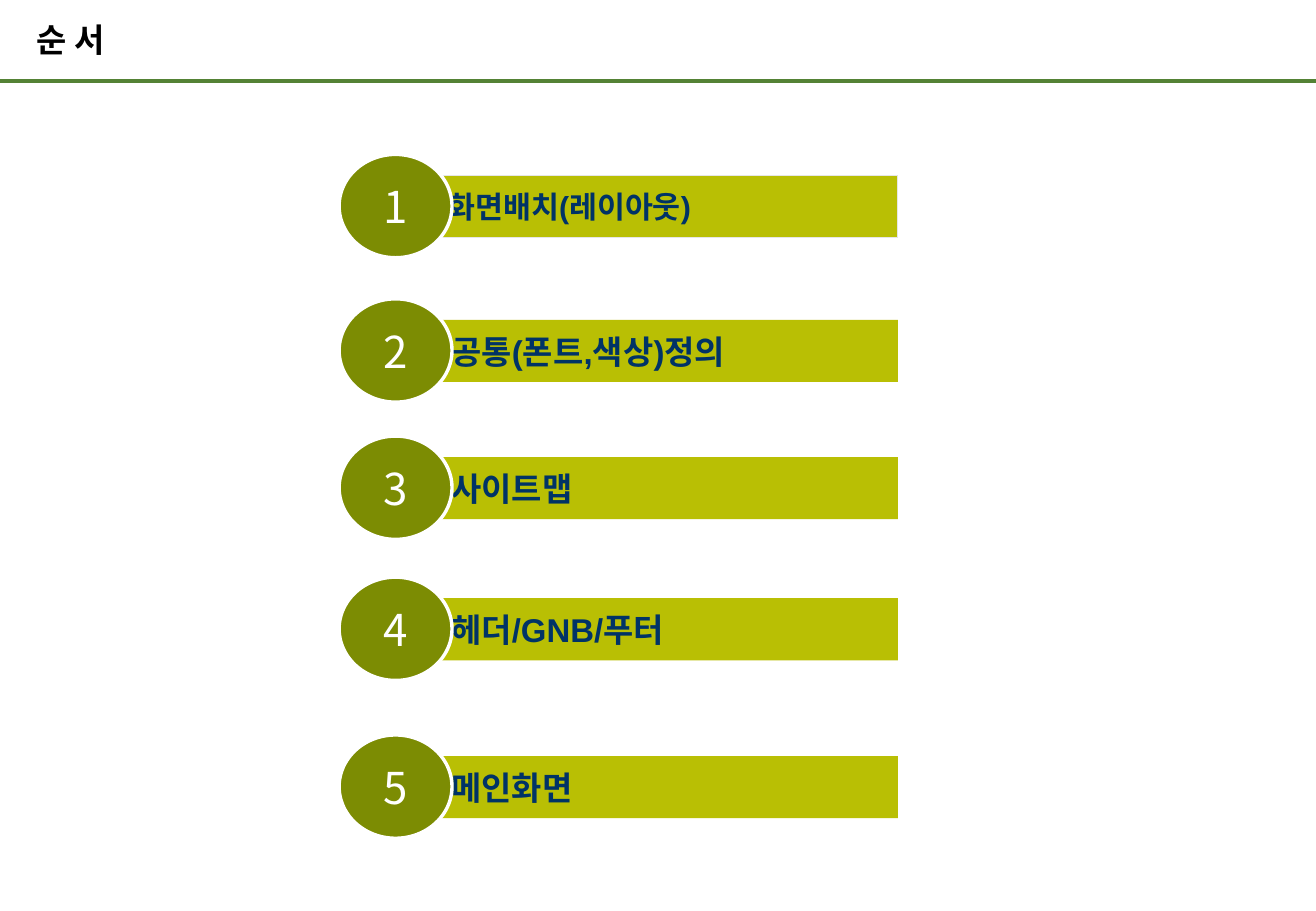
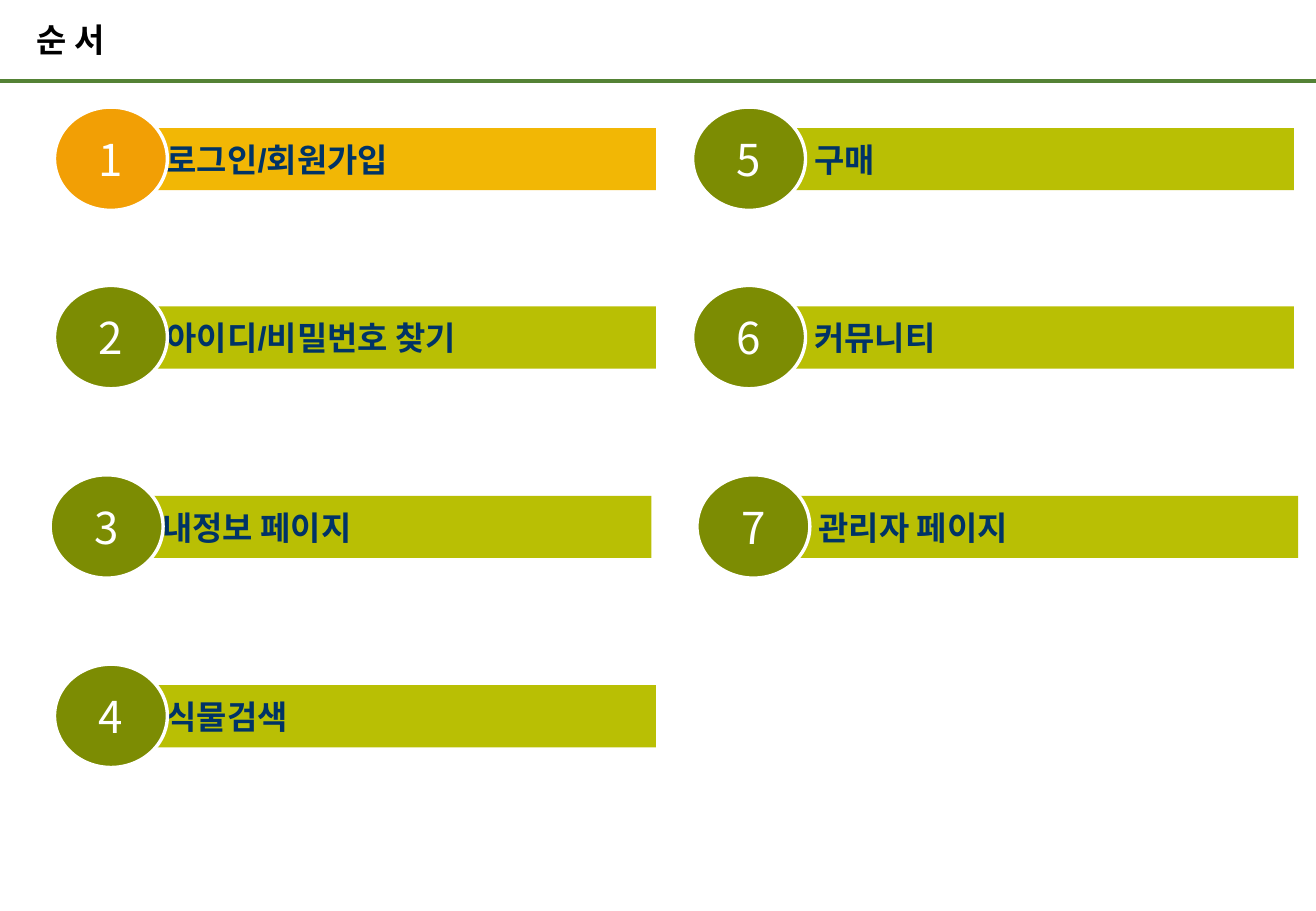
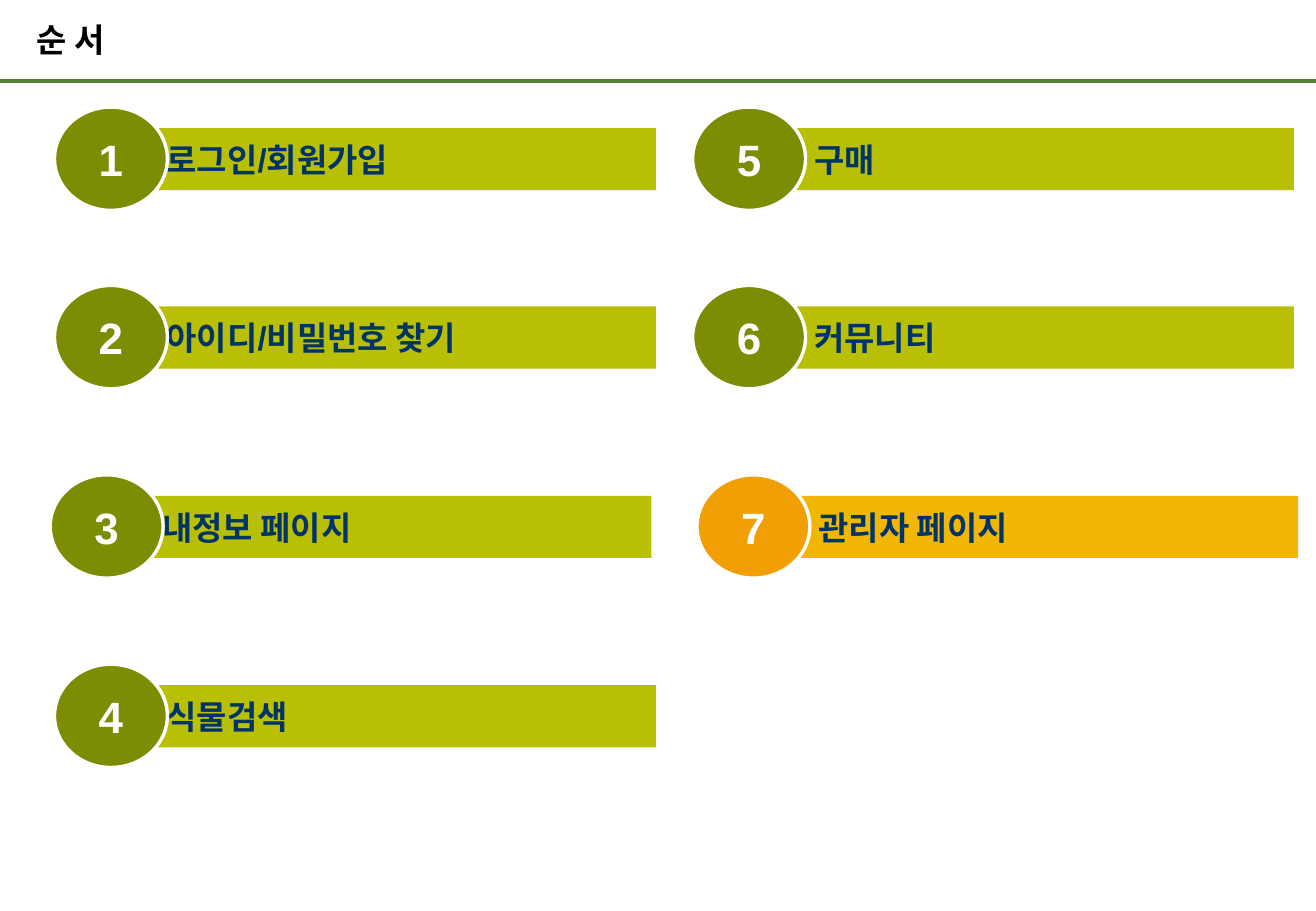
import pptx
import pptx.dml.color
import pptx.enum.shapes
import pptx.enum.text
import pptx.oxml.ns
import pptx.util
from lxml import etree

Cm = pptx.util.Cm
Pt = pptx.util.Pt
SHAPE = pptx.enum.shapes.MSO_SHAPE
ALIGN = pptx.enum.text.PP_ALIGN
qn = pptx.oxml.ns.qn

COLORS = {
    "rule": "548235",
    "title": "000000",
    "label": "003366",
    "white": "FFFFFF",
    "bar": "B9BF04",
    "badge": "7C8C03",
    "active_bar": "F2B705",
    "active_badge": "F29F05",
    "edge": "E6E6E6",
}
LATIN_FONT = "Arial"
KOREAN_FONT = "Noto Sans CJK KR"
PAGE_WIDTH, PAGE_HEIGHT = 27.51, 19.05
TITLE = "순 서"

# Item geometry in cm
BADGE_WIDTH, BADGE_HEIGHT = 2.36, 2.16
BAR_OFFSET_X, BAR_OFFSET_Y, BAR_HEIGHT = 0.94, 0.44, 1.3

OPENING_ITEMS = [
    ("화면배치(레이아웃)", 3.23),
    ("공통(폰트,색상)정의", 6.25),
    ("사이트맵", 9.12),
    ("헤더/GNB/푸터", 12.07),
    ("메인화면", 15.37),
]
MENU_ITEMS = ["로그인/회원가입", "아이디/비밀번호 찾기", "내정보 페이지", "식물검색",
              "구매", "커뮤니티", "관리자 페이지"]
MENU_ROWS = [2.24, 5.97, 9.93, 13.89]
MENU_COLUMNS = [1.14, 14.48]
MENU_INDENTS = [1.4, 1.6]
MENU_WIDTH = 12.57
THIRD_ROW_SHIFT = 0.09


def rgb(name):
    return pptx.dml.color.RGBColor.from_string(COLORS[name])


def style_paragraph(para, size, color, bold=True, latin=LATIN_FONT, align=ALIGN.LEFT):
    para.alignment = align
    font = para.font
    font.size = Pt(size)
    font.bold = bold
    font.name = latin
    font.color.rgb = rgb(color)
    latin_element = para._p.pPr.find(qn("a:defRPr")).find(qn("a:latin"))
    east_asian = etree.Element(qn("a:ea"), typeface=KOREAN_FONT)
    latin_element.addnext(east_asian)


def set_line(line, color, width):
    line.color.rgb = rgb(color)
    line.width = Pt(width)


def add_filled_shape(page, kind, box, fill, text):
    shape = page.shapes.add_shape(kind, *(Cm(length) for length in box))
    shape.shadow.inherit = False
    shape.fill.solid()
    shape.fill.fore_color.rgb = rgb(fill)
    shape.line.fill.background()
    frame = shape.text_frame
    frame.word_wrap = True
    frame.vertical_anchor = pptx.enum.text.MSO_ANCHOR.MIDDLE
    frame.text = text
    return shape


def add_item(page, number, text, left, top, width, indent=1.4, size=19.5,
             active=False, bold_number=False, outlined=False):
    """Numbered badge overlapping a label bar."""
    prefix = "active_" if active else ""
    bar_box = (left + BAR_OFFSET_X, top + BAR_OFFSET_Y, width - BAR_OFFSET_X, BAR_HEIGHT)
    bar = add_filled_shape(page, SHAPE.RECTANGLE, bar_box, prefix + "bar", text)
    bar.text_frame.margin_left = Cm(indent)
    style_paragraph(bar.text_frame.paragraphs[0], size, "label")
    if outlined:
        set_line(bar.line, "edge", 0.75)

    badge_box = (left, top, BADGE_WIDTH, BADGE_HEIGHT)
    badge = add_filled_shape(page, SHAPE.OVAL, badge_box, prefix + "badge", str(number))
    set_line(badge.line, "white", 2)
    style_paragraph(badge.text_frame.paragraphs[0], 26, "white", bold_number,
                    LATIN_FONT if bold_number else KOREAN_FONT, ALIGN.CENTER)


def add_page(deck, layout):
    page = deck.slides.add_slide(layout)
    title = page.shapes.title
    title.left, title.top, title.width, title.height = Cm(0.76), Cm(0), Cm(18), Cm(1.73)
    frame = title.text_frame
    frame.text = TITLE
    frame.auto_size = pptx.enum.text.MSO_AUTO_SIZE.NONE
    frame.vertical_anchor = pptx.enum.text.MSO_ANCHOR.MIDDLE
    frame.margin_left = frame.margin_top = frame.margin_right = frame.margin_bottom = 0
    para = frame.paragraphs[0]
    para.line_spacing = 0.9
    style_paragraph(para, 19.5, "title")
    return page


def add_shared_rule(page, layout):
    """Draw the header rule once and hand it to the layout."""
    rule = page.shapes.add_connector(pptx.enum.shapes.MSO_CONNECTOR.STRAIGHT,
                                     Cm(0), Cm(1.7), Cm(PAGE_WIDTH), Cm(1.7))
    set_line(rule.line, "rule", 2.25)
    etree.SubElement(rule.element.spPr, qn("a:effectLst"))
    layout.shapes.element.append(rule.element)


def fill_opening_page(page):
    for number, (text, top) in enumerate(OPENING_ITEMS, 1):
        first = number == 1
        add_item(page, number, text, 7.09, top, 11.68, indent=1.32 if first else 1.4,
                 size=18 if first else 19.5, outlined=first)


def fill_menu_page(page, active_number, bold_number):
    for index, text in enumerate(MENU_ITEMS):
        column, row = divmod(index, len(MENU_ROWS))
        left = MENU_COLUMNS[column]
        if row == 2:  # the third row sits slightly further out
            left += THIRD_ROW_SHIFT if column else -THIRD_ROW_SHIFT
        add_item(page, index + 1, text, left, MENU_ROWS[row], MENU_WIDTH,
                 indent=MENU_INDENTS[column], active=index + 1 == active_number,
                 bold_number=bold_number)


def main():
    deck = pptx.Presentation()
    deck.slide_width, deck.slide_height = Cm(PAGE_WIDTH), Cm(PAGE_HEIGHT)
    layout = deck.slide_layouts.get_by_name("Title Only")

    opening = add_page(deck, layout)
    add_shared_rule(opening, layout)
    fill_opening_page(opening)

    for active_number, bold_number in ((1, False), (7, True)):
        fill_menu_page(add_page(deck, layout), active_number, bold_number)

    deck.save("out.pptx")


if __name__ == "__main__":
    main()
